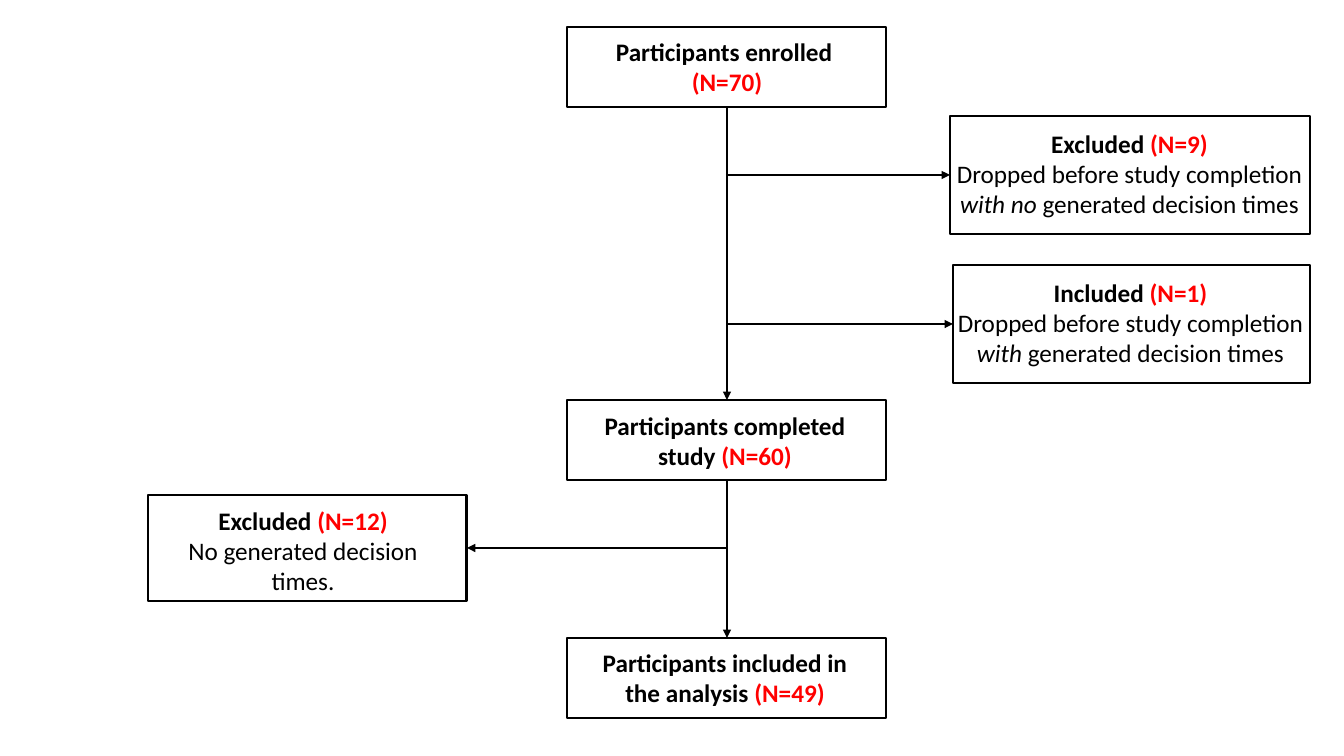
"""Build a participant flow diagram slide."""
from pptx import Presentation
from pptx.dml.color import RGBColor
from pptx.enum.shapes import MSO_CONNECTOR, MSO_SHAPE
from pptx.enum.text import MSO_AUTO_SIZE, PP_ALIGN
from pptx.oxml.ns import qn
from pptx.util import Emu, Pt
from lxml.etree import SubElement

PX = 914400 / 100.8
BLACK, RED = "000000", "FF0000"
HEAD = dict(bold=True)
COUNT = dict(bold=True, color=RED)
BODY = {}
ITALIC = dict(italic=True)
DROPPED = ("Dropped before study completion ", BODY)
GENERATED = ("generated decision times", BODY)

STEPS = [
    ((567, 27, 319, 80), (578, 31, 298, 71),
     [[("Participants enrolled ", HEAD)], [("(N=70)", COUNT)]]),
    ((567, 400, 319, 80), (576, 405, 298, 71),
     [[("Participants completed study ", HEAD), ("(N=60)", COUNT)]]),
    ((567, 638, 319, 80), (576, 642, 298, 71),
     [[("Participants included in the analysis ", HEAD), ("(N=49)", COUNT)]]),
    ((950, 116, 360, 118), (944, 123, 371, 102),
     [[("Excluded ", HEAD), ("(N=9)", COUNT)],
      [DROPPED, ("with no ", ITALIC), GENERATED]]),
    ((148, 495, 319, 106), (154, 500, 298, 102),
     [[("Excluded ", HEAD), ("(N=12)\n", COUNT),
       ("No generated decision times.", BODY)]]),
    ((953, 265, 357, 118), (945, 272, 371, 102),
     [[("Included ", HEAD), ("(N=1)", COUNT)],
      [DROPPED, ("with ", ITALIC), GENERATED]]),
]
ARROWS = [
    (727, 107, 727, 400),
    (726, 175, 950, 175),
    (727, 480, 727, 638),
    (726, 548, 467, 548),
    (727, 324, 953, 324),
]


def px(*values):
    return [Emu(round(v * PX)) for v in values]


def rgb(color):
    return RGBColor.from_string(color)


def set_line(s):
    s.line.color.rgb = rgb(BLACK)
    s.line.width = Pt(2)


def add_run(p, text, bold=False, italic=False, color=BLACK, size=18):
    r = p.add_run()
    r.text = text.rstrip("\n")
    r.font.name, r.font.size = "Calibri", Pt(size)
    r.font.bold, r.font.italic = bold, italic
    r.font.color.rgb = rgb(color)
    if text.endswith("\n"):
        p.add_line_break()


def add_frame(box):
    s = slide.shapes.add_shape(MSO_SHAPE.RECTANGLE, *px(*box))
    s.shadow.inherit = False
    s.fill.background()
    set_line(s)


def add_label(box, paragraphs):
    tf = slide.shapes.add_textbox(*px(*box)).text_frame
    tf.word_wrap = True
    tf.auto_size = MSO_AUTO_SIZE.SHAPE_TO_FIT_TEXT
    for i, runs in enumerate(paragraphs):
        p = tf.add_paragraph() if i else tf.paragraphs[0]
        p.alignment = PP_ALIGN.CENTER
        for text, style in runs:
            add_run(p, text, **style)


def add_arrow(ends):
    s = slide.shapes.add_connector(MSO_CONNECTOR.STRAIGHT, *px(*ends))
    set_line(s)
    SubElement(s.line._get_or_add_ln(), qn("a:tailEnd"), type="triangle")
    SubElement(s._element.spPr, qn("a:effectLst"))


prs = Presentation()
prs.slide_width, prs.slide_height = px(1344, 756)
slide = prs.slides.add_slide(prs.slide_layouts[6])
for frame, label, paragraphs in STEPS:
    add_frame(frame)
    add_label(label, paragraphs)
for ends in ARROWS:
    add_arrow(ends)
prs.save("out.pptx")
